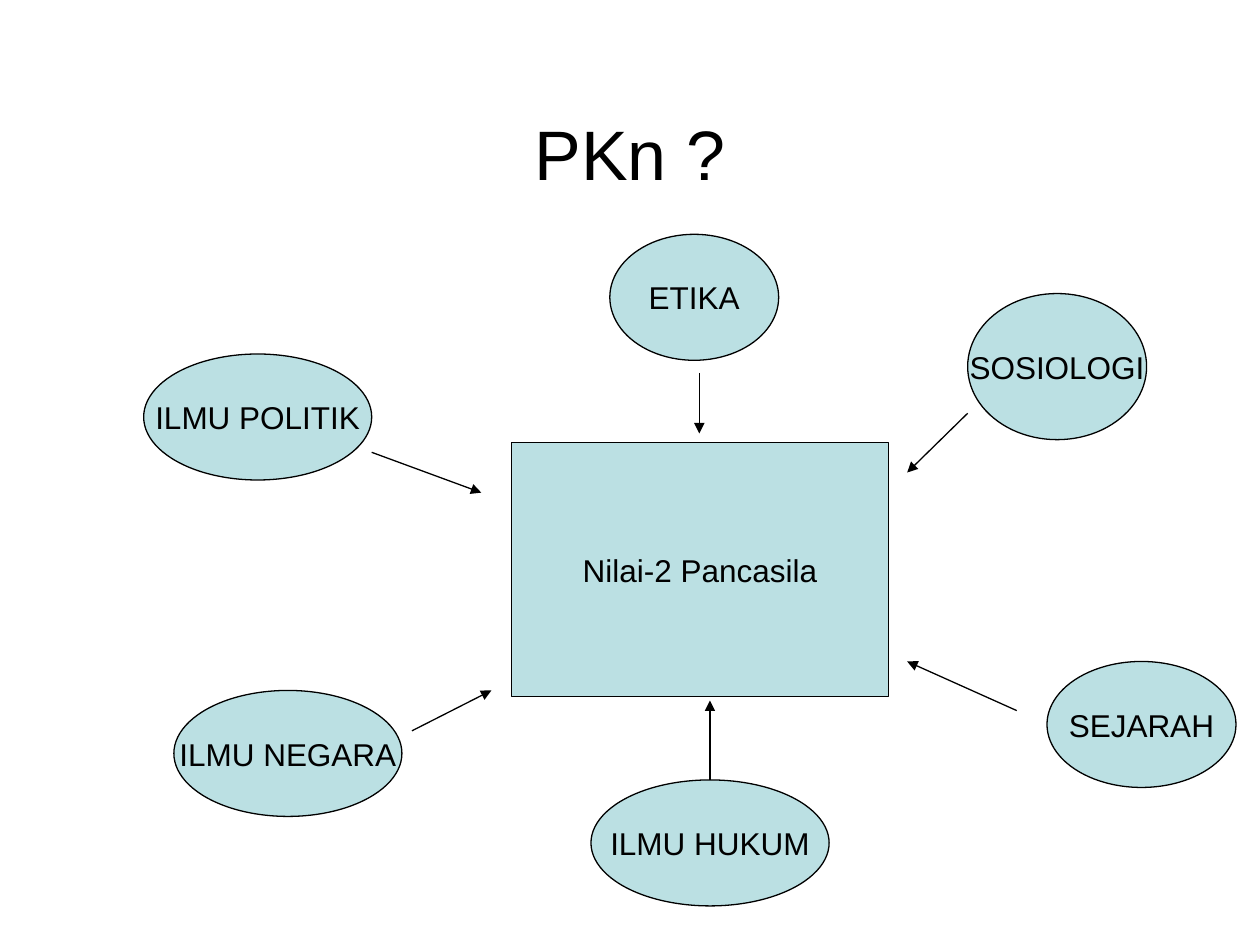
from lxml.etree import SubElement
from pptx import Presentation
from pptx.dml.color import RGBColor
from pptx.enum.shapes import MSO_CONNECTOR, MSO_SHAPE
from pptx.enum.text import MSO_ANCHOR, PP_ALIGN
from pptx.oxml.ns import qn
from pptx.util import Inches, Pt


def rgb(value):
    return RGBColor.from_string(value)


def write(sp, text, size, frame):
    tf = sp.text_frame
    for name, value in frame.items():
        setattr(tf, name, value)
    p = tf.paragraphs[0]
    p.alignment = PP_ALIGN.CENTER
    r = p.add_run()
    r.text = text
    for name, value in {"name": "Arial", "size": Pt(size)}.items():
        setattr(r.font, name, value)
    r.font.color.rgb = rgb("000000")


prs = Presentation()
prs.slide_width, prs.slide_height = Inches(10), Inches(7.5)
col, row = prs.slide_width / 10, prs.slide_height / 7.5
s = prs.slides.add_slide(prs.slide_layouts[6])

title = s.shapes.add_textbox(int(0.75 * col), int(0.68 * row), int(8.5 * col), int(6.3 * row))
write(title, "PKn ?", 40, {
    "word_wrap": True,
    "vertical_anchor": MSO_ANCHOR.TOP,
    "margin_top": int(0.2 * row),
})

nodes = [
    ("Nilai-2 Pancasila", MSO_SHAPE.RECTANGLE, 4.06, 3.51, 2.99, 2.02),
    ("ILMU NEGARA", MSO_SHAPE.OVAL, 1.38, 5.48, 1.81, 1),
    ("ILMU POLITIK", MSO_SHAPE.OVAL, 1.14, 2.81, 1.81, 1),
    ("ETIKA", MSO_SHAPE.OVAL, 4.84, 1.86, 1.34, 1),
    ("ILMU HUKUM", MSO_SHAPE.OVAL, 4.69, 6.19, 1.89, 1),
    ("SEJARAH", MSO_SHAPE.OVAL, 8.31, 5.25, 1.5, 1),
    ("SOSIOLOGI", MSO_SHAPE.OVAL, 7.68, 2.33, 1.42, 1.16),
]
node_frame = {"word_wrap": False, "vertical_anchor": MSO_ANCHOR.MIDDLE}
shapes = {}
for text, kind, x, y, w, h in nodes:
    sp = s.shapes.add_shape(kind, int(x * col), int(y * row), int(w * col), int(h * row))
    sp.shadow.inherit = False
    sp.fill.solid()
    sp.fill.fore_color.rgb = rgb("BBE0E3")
    sp.line.color.rgb = rgb("000000")
    sp.line.width = Pt(0.75)
    write(sp, text, 18, node_frame)
    shapes[text] = sp

arrows = [
    ("ETIKA", 5.55, 2.96, 5.55, 3.44),
    ("ILMU POLITIK", 2.95, 3.59, 3.82, 3.91),
    ("ILMU NEGARA", 3.27, 5.8, 3.9, 5.48),
    ("ILMU HUKUM", 5.63, 6.19, 5.63, 5.56),
    ("SOSIOLOGI", 7.68, 3.28, 7.2, 3.75),
    ("SEJARAH", 8.07, 5.64, 7.2, 5.25),
]
for source, x1, y1, x2, y2 in arrows:
    line = s.shapes.add_connector(
        MSO_CONNECTOR.STRAIGHT, int(x1 * col), int(y1 * row), int(x2 * col), int(y2 * row))
    if source == "ILMU HUKUM":
        line.begin_connect(shapes[source], 0)
        line.end_x = line.begin_x
    line.line.color.rgb = rgb("000000")
    line.line.width = Pt(0.75)
    SubElement(line.line._get_or_add_ln(), qn("a:tailEnd"), type="triangle")
    SubElement(line._element.spPr, qn("a:effectLst"))

prs.save("out.pptx")
